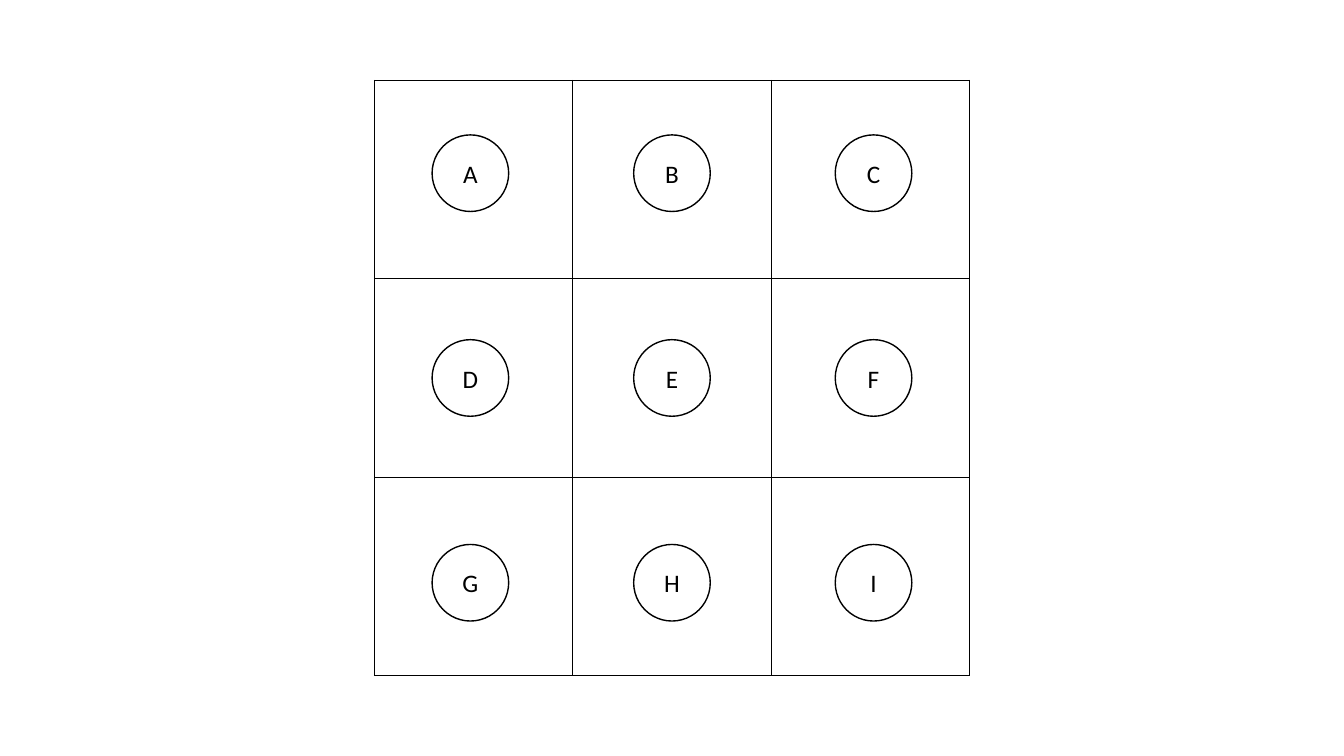
import pptx
import pptx.util
import pptx.dml.color
import pptx.enum.shapes
import pptx.enum.text
import pptx.oxml.ns
import lxml.etree

Cm, Pt = pptx.util.Cm, pptx.util.Pt

SLIDE_WIDTH, SLIDE_HEIGHT = Cm(33.87), Cm(19.05)
BLACK, WHITE = "000000", "FFFFFF"
ROWS = ("ABC", "DEF", "GHI")
CELL = Cm(5)
DIAMETER = Cm(1.93)
PITCH_X, PITCH_Y = Cm(5.08), Cm(5.16)
LETTER_FORMAT = {"name": "Calibri", "size": Pt(18)}
GRID_FORMAT = {"first_row": False, "horz_banding": False}


def colour(hex_string):
    """Return the RGB colour for a hex string."""
    return pptx.dml.color.RGBColor.from_string(hex_string)


def apply_format(target, values):
    """Set each named attribute on the target."""
    for name, value in values.items():
        setattr(target, name, value)


def add_border(cell):
    """Draw a thin black line on all four sides of a cell."""
    properties = cell._tc.get_or_add_tcPr()
    qn = pptx.oxml.ns.qn
    for index, side in enumerate(("a:lnL", "a:lnR", "a:lnT", "a:lnB")):
        edge = lxml.etree.Element(qn(side), w=str(Pt(1)))
        fill = lxml.etree.SubElement(edge, qn("a:solidFill"))
        lxml.etree.SubElement(fill, qn("a:srgbClr"), val=BLACK)
        properties.insert(index, edge)


def add_node(slide, letter, left, top):
    """Add one lettered circle."""
    node = slide.shapes.add_shape(
        pptx.enum.shapes.MSO_SHAPE.OVAL, left, top, DIAMETER, DIAMETER)
    node.shadow.inherit = False
    node.fill.solid()
    node.fill.fore_color.rgb = colour(WHITE)
    node.line.color.rgb = colour(BLACK)
    node.line.width = Pt(1)
    node.text_frame.vertical_anchor = pptx.enum.text.MSO_ANCHOR.MIDDLE
    paragraph = node.text_frame.paragraphs[0]
    paragraph.alignment = pptx.enum.text.PP_ALIGN.CENTER
    run = paragraph.add_run()
    run.text = letter
    apply_format(run.font, LETTER_FORMAT)
    run.font.color.rgb = colour(BLACK)


def add_nodes(slide, left, top, width, height):
    """Spread the lettered circles evenly around the middle of the box."""
    first_left = left + (width - DIAMETER) // 2 - PITCH_X
    first_top = top + (height - DIAMETER) // 2 - PITCH_Y
    for row, letters in enumerate(ROWS):
        for column, letter in enumerate(letters):
            add_node(slide, letter,
                     first_left + column * PITCH_X, first_top + row * PITCH_Y)


def add_grid(slide, left, top, width, height):
    """Add the empty, see-through table, filling the box."""
    count = len(ROWS)
    grid = slide.shapes.add_table(count, count, left, top, width, height).table
    apply_format(grid, GRID_FORMAT)
    for cell in grid.iter_cells():
        cell.fill.background()
        add_border(cell)


def build_slide(presentation):
    """Add the slide with its circles and the grid over them, centred."""
    slide = presentation.slides.add_slide(presentation.slide_layouts[6])
    side = CELL * len(ROWS)
    box = ((SLIDE_WIDTH - side) // 2, (SLIDE_HEIGHT - side) // 2, side, side)
    add_nodes(slide, *box)
    add_grid(slide, *box)


presentation = pptx.Presentation()
apply_format(presentation,
             {"slide_width": SLIDE_WIDTH, "slide_height": SLIDE_HEIGHT})
build_slide(presentation)
presentation.save("out.pptx")
